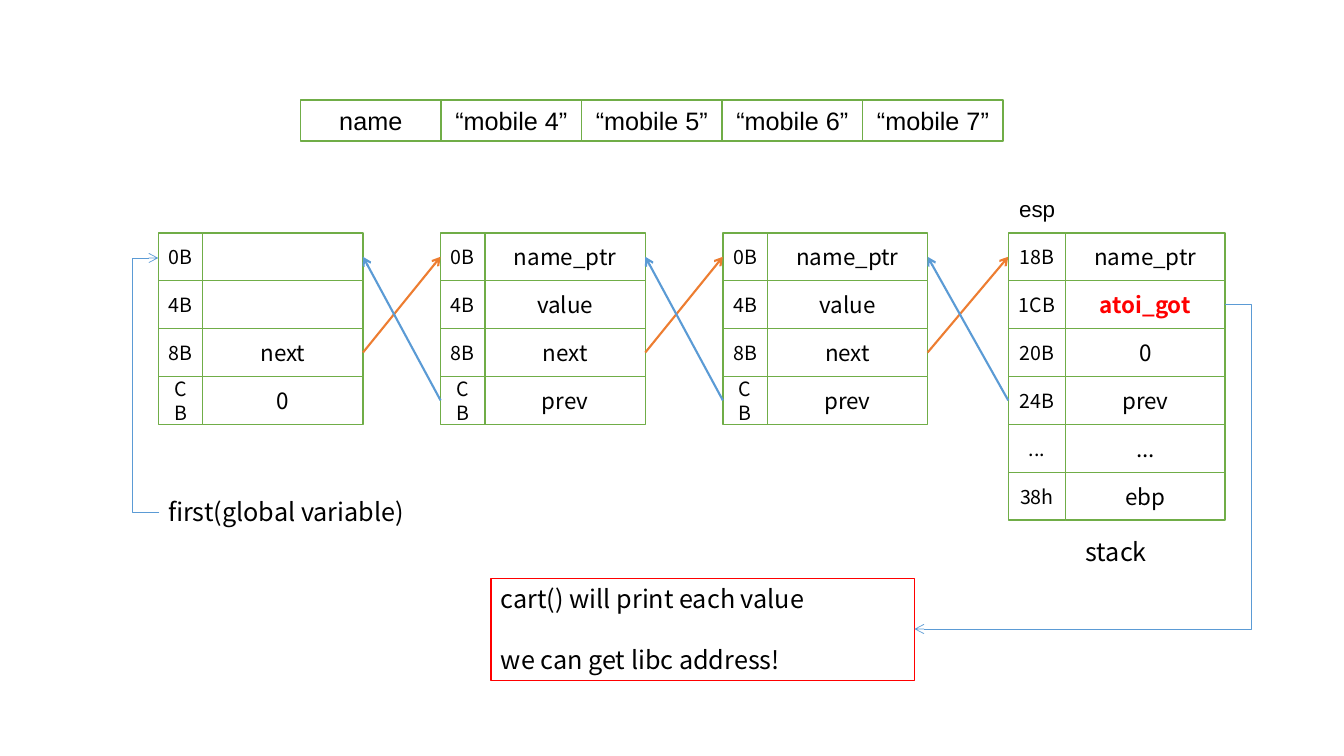
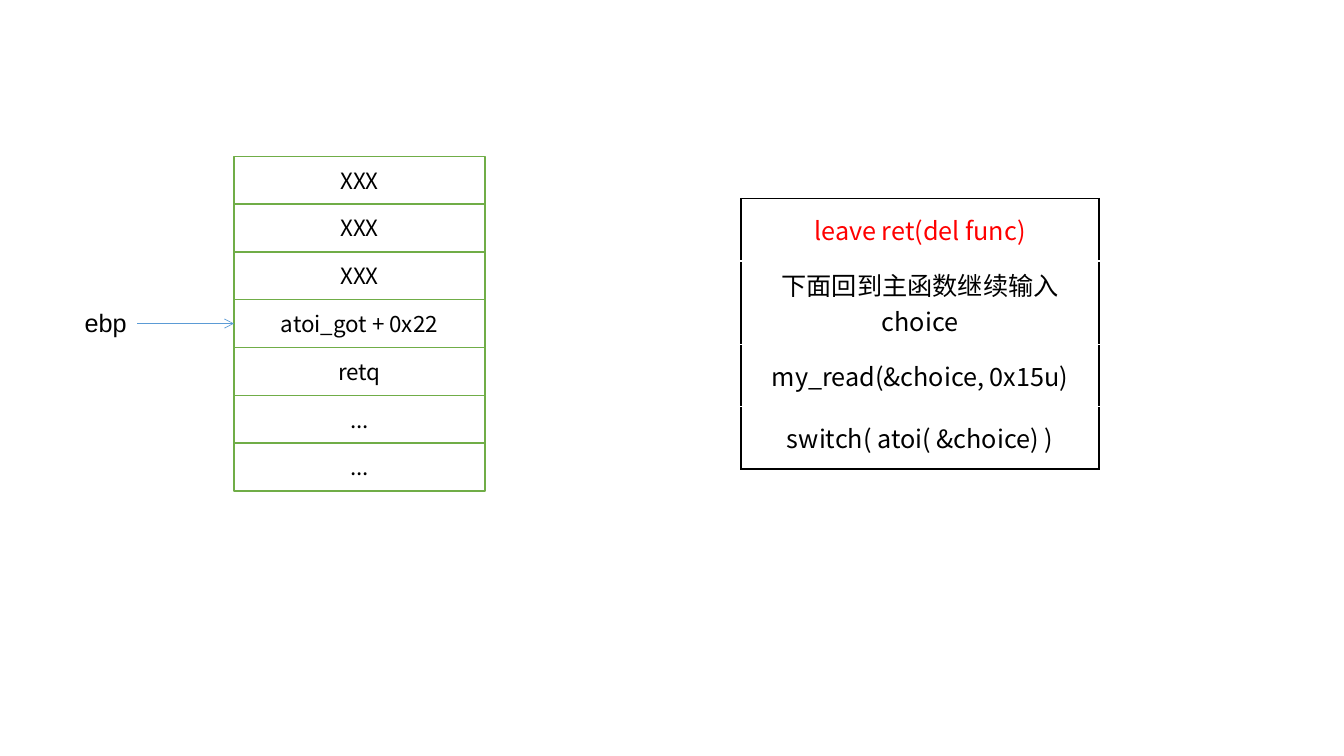
from lxml.etree import SubElement
from pptx import Presentation
from pptx.dml.color import RGBColor
from pptx.enum.shapes import MSO_CONNECTOR, MSO_SHAPE
from pptx.enum.text import MSO_ANCHOR, PP_ALIGN
from pptx.oxml import parse_xml
from pptx.oxml.ns import nsdecls, qn
from pptx.util import Inches, Pt

BLACK = RGBColor(0x00, 0x00, 0x00)
WHITE = RGBColor(0xFF, 0xFF, 0xFF)
RED = RGBColor(0xFF, 0x00, 0x00)
GREEN = RGBColor(0x70, 0xAD, 0x47)
BLUE = RGBColor(0x5B, 0x9B, 0xD5)
ORANGE = RGBColor(0xED, 0x7D, 0x31)
NOTO = "Noto Sans CJK SC"
ARIAL = "Arial"
LINE_HEIGHT = 1.2


def set_values(target, values):
    """Set every attribute named in a dict of format values."""
    for name, value in values.items():
        setattr(target, name, value)


class MemoryDeck:
    """Hold the deck, its style and the slide being drawn."""

    def __init__(self):
        """Start an empty widescreen deck."""
        self.deck = Presentation()
        self.deck.slide_width = Inches(13.33)
        self.deck.slide_height = Inches(7.5)
        self.page = None

    def add_page(self):
        """Add a blank slide and make it current."""
        self.page = self.deck.slides.add_slide(self.deck.slide_layouts[6])

    def add_span(self, para, text, size, face=NOTO, color=BLACK, bold=False):
        """Add one formatted run to a paragraph."""
        span = para.add_run()
        span.text = text
        set_values(span.font, {"size": Pt(size), "name": face, "bold": bold})
        span.font.color.rgb = color
        SubElement(span.font._element, qn("a:ea")).set("typeface", face)

    def cells(self, left, top, width, height, texts, size=16, face=NOTO,
              across=False, alerts=()):
        """Split an area into equal green-edged cells and return them."""
        step_x = width / len(texts) if across else 0
        step_y = 0 if across else height / len(texts)
        made = []
        for index, text in enumerate(texts):
            box = self.page.shapes.add_shape(
                MSO_SHAPE.RECTANGLE,
                Inches(left + index * step_x), Inches(top + index * step_y),
                Inches(step_x or width), Inches(step_y or height))
            box.shadow.inherit = False
            box.fill.solid()
            box.fill.fore_color.rgb = WHITE
            box.line.color.rgb = GREEN
            box.line.width = Pt(1)
            set_values(box.text_frame, {"word_wrap": True,
                                        "vertical_anchor": MSO_ANCHOR.MIDDLE})
            para = box.text_frame.paragraphs[0]
            para.alignment = PP_ALIGN.CENTER
            if text:
                if face == NOTO:
                    para.line_spacing = Pt(size * LINE_HEIGHT)
                alert = text in alerts
                self.add_span(para, text, size, face,
                              RED if alert else BLACK, alert)
            made.append(box)
        return made

    def record(self, left, top, height, offsets, fields, widths, alerts=()):
        """Draw a column of offsets beside its fields and return both."""
        offset_width, field_width = widths
        values = self.cells(left + offset_width, top, field_width, height,
                            fields, alerts=alerts)
        return self.cells(left, top, offset_width, height, offsets, 14), values

    def label(self, left, top, width, height, lines, size=18, face=NOTO,
              edge=None):
        """Add a text box, framed if an edge colour is given."""
        box = self.page.shapes.add_textbox(
            Inches(left), Inches(top), Inches(width), Inches(height))
        frame = box.text_frame
        frame.word_wrap = True
        if edge is not None:
            box.line.color.rgb = edge
            box.line.width = Pt(0.75)
        for index, text in enumerate(lines):
            para = frame.add_paragraph() if index else frame.paragraphs[0]
            if face == NOTO:
                para.line_spacing = Pt(size * LINE_HEIGHT)
            if index:
                para.space_before = Pt(size * LINE_HEIGHT)
            self.add_span(para, text, size, face)
        return box

    def finish_arrow(self, line, color, width):
        """Colour a connector, drop its shadow and add an arrowhead."""
        line.line.color.rgb = color
        line.line.width = Pt(width)
        SubElement(line.get_or_add_ln(), qn("a:tailEnd")).set("type", "arrow")
        SubElement(line._element.spPr, qn("a:effectLst"))

    def arrow(self, source, source_side, target, target_side, color, width=1.5):
        """Join the sides of two shapes with a straight arrow."""
        line = self.page.shapes.add_connector(MSO_CONNECTOR.STRAIGHT, 0, 0, 0, 0)
        line.begin_connect(source, source_side)
        line.end_connect(target, target_side)
        self.finish_arrow(line, color, width)

    def elbow(self, start, end, bend_x):
        """Draw a thin bent arrow whose upright part stands at bend_x."""
        line = self.page.shapes.add_connector(
            MSO_CONNECTOR.ELBOW, *(Inches(value) for value in start + end))
        ratio = (bend_x - start[0]) / (end[0] - start[0])
        geometry = line._element.spPr.find(qn("a:prstGeom"))
        guides = geometry.get_or_add_avLst()
        guide = SubElement(guides, qn("a:gd"))
        guide.set("name", "adj1")
        guide.set("fmla", f"val {round(ratio * 100000)}")
        self.finish_arrow(line, BLUE, 0.5)

    def framed_table(self, left, top, width, row_height, rows):
        """Add a one-column table with a black outer frame."""
        table = self.page.shapes.add_table(
            len(rows), 1, Inches(left), Inches(top), Inches(width),
            Inches(row_height * len(rows))).table
        set_values(table, {"first_row": False, "horz_banding": False})
        for index, (text, color) in enumerate(rows):
            cell = table.cell(index, 0)
            cell.vertical_anchor = MSO_ANCHOR.MIDDLE
            cell.fill.background()
            para = cell.text_frame.paragraphs[0]
            para.alignment = PP_ALIGN.CENTER
            self.add_span(para, text, 18, color=color)
            sides = ["lnL", "lnR"]
            if index == 0:
                sides.append("lnT")
            if index == len(rows) - 1:
                sides.append("lnB")
            properties = cell._tc.get_or_add_tcPr()
            for place, side in enumerate(sides):
                properties.insert(place, parse_xml(
                    f'<a:{side} {nsdecls("a")} w="{int(Pt(1))}"><a:solidFill>'
                    f'<a:srgbClr val="{BLACK}"/></a:solidFill></a:{side}>'))


def draw_linked_list(deck):
    """Draw the chain of list nodes that ends on the stack."""
    deck.add_page()
    names = ["name"] + [f"“mobile {number}”" for number in range(4, 8)]
    deck.cells(2.98, 0.99, 6.97, 0.41, names, 18, ARIAL, across=True)

    node_fields = ["name_ptr", "value", "next", "prev"]
    records = [
        deck.record(1.57 + 2.8 * index, 2.31, 1.9, ["0B", "4B", "8B", "CB"],
                    fields, (0.44, 1.59))
        for index, fields in enumerate(
            [["", "", "next", "0"], node_fields, node_fields])]
    records.append(deck.record(
        10, 2.31, 2.85, ["18B", "1CB", "20B", "24B", "...", "38h"],
        ["name_ptr", "atoi_got", "0", "prev", "...", "ebp"],
        (0.57, 1.58), alerts=["atoi_got"]))
    for (_, fields), (offsets, _) in zip(records, records[1:]):
        deck.arrow(fields[2], 3, offsets[0], 1, ORANGE)
        deck.arrow(offsets[3], 1, fields[0], 3, BLUE)

    deck.label(1.57, 4.87, 3.54, 0.4, ["first(global variable)"])
    deck.label(10.67, 5.27, 1.07, 0.4, ["stack"])
    deck.label(10.01, 1.89, 1.22, 0.37, ["esp"], 16, ARIAL)
    deck.label(4.87, 5.74, 4.2, 1.01,
               ["cart() will print each value", "we can get libc address!"],
               edge=RED)
    deck.elbow((1.58, 5.08), (1.57, 2.56), 1.31)
    deck.elbow((12.15, 3.02), (9.07, 6.24), 12.41)


def draw_stack_frame(deck):
    """Draw the overwritten stack frame and the code that follows."""
    deck.add_page()
    slots = deck.cells(2.32, 1.55, 2.49, 3.32, [
        "XXX", "XXX", "XXX", "atoi_got + 0x22", "retq", "...", "..."])
    deck.framed_table(7.35, 1.97, 3.55, 0.62, [
        ("leave ret(del func)", RED),
        ("下面回到主函数继续输入choice", BLACK),
        ("my_read(&choice, 0x15u)", BLACK),
        ("switch( atoi( &choice) )", BLACK)])
    pointer = deck.label(0.74, 3, 0.62, 0.42, ["ebp"], face=ARIAL)
    deck.arrow(pointer, 3, slots[3], 1, BLUE, 0.5)


def main():
    """Build both slides and save the deck."""
    deck = MemoryDeck()
    draw_linked_list(deck)
    draw_stack_frame(deck)
    deck.deck.save("out.pptx")


if __name__ == "__main__":
    main()
